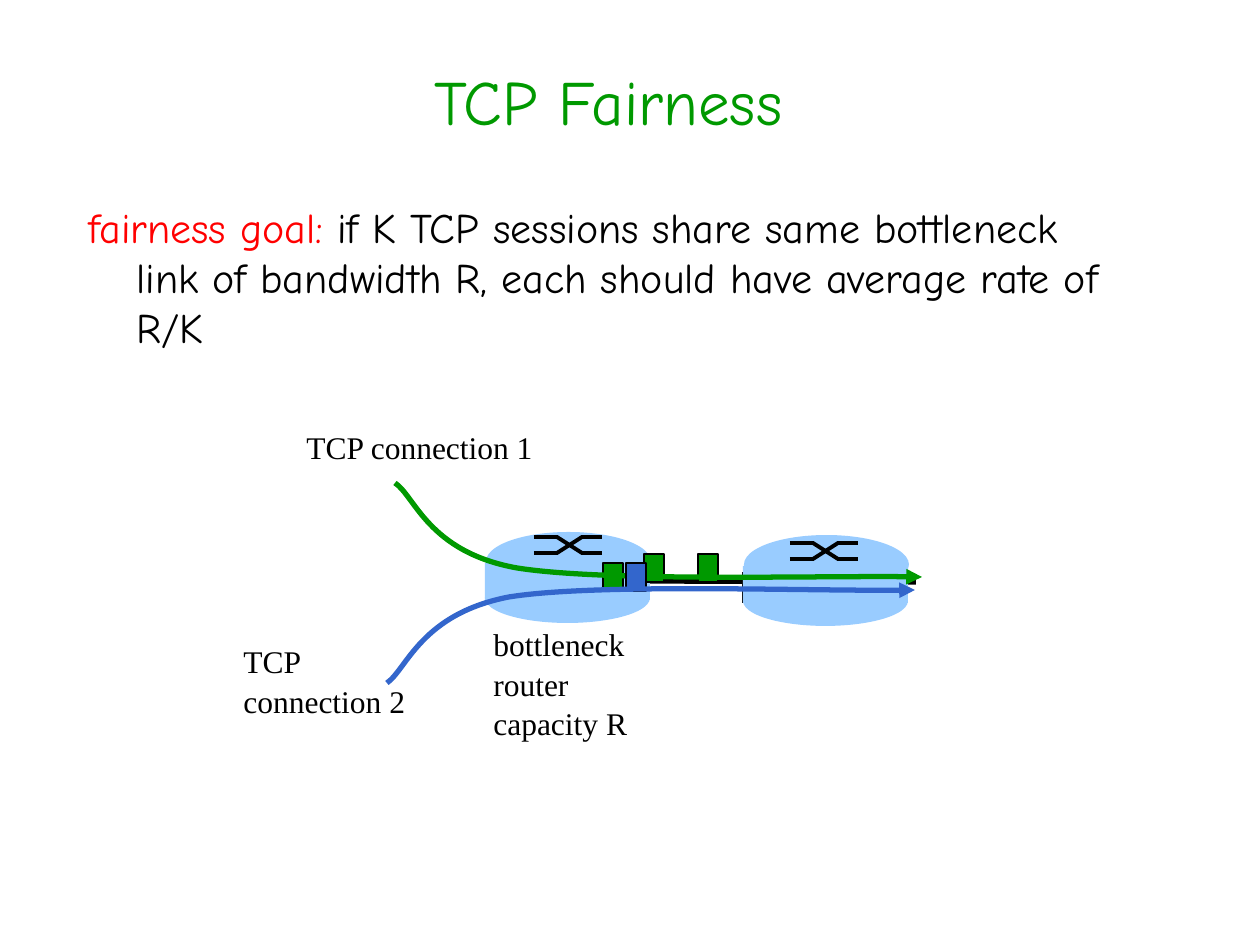
from lxml.etree import SubElement
from pptx import Presentation
from pptx.dml.color import RGBColor
from pptx.enum.shapes import MSO_CONNECTOR, MSO_SHAPE
from pptx.enum.text import MSO_ANCHOR, PP_ALIGN
from pptx.oxml.ns import qn
from pptx.util import Emu, Pt

EMU_PER_PX = 914400 / 126
BLACK, GREEN, BLUE, RED, SKY = "000000", "009900", "3366CC", "FF0000", "99CCFF"
HEADING_FONT, LABEL_FONT = "Comic Neue", "Times New Roman"


def px(n):
    return Emu(round(n * EMU_PER_PX))


def rgb(color):
    return RGBColor.from_string(color)


def add_text(slide, box, lines, font, size, color=BLACK):
    tf = slide.shapes.add_textbox(*map(px, box)).text_frame
    tf.word_wrap = True
    for i, line in enumerate(lines):
        p = tf.paragraphs[0] if i == 0 else tf.add_paragraph()
        p.text = line
        p.font.name = font
        p.font.size = Pt(size)
        p.font.color.rgb = rgb(color)
    return tf


def add_title(slide, text):
    tf = add_text(slide, (73, 21, 1071, 158), [text], HEADING_FONT, 36, GREEN)
    tf.vertical_anchor = MSO_ANCHOR.MIDDLE
    tf.paragraphs[0].alignment = PP_ALIGN.CENTER


def add_goal(slide, term, text):
    tf = add_text(slide, (76, 195, 1050, 302), [term], HEADING_FONT, 24)
    p = tf.paragraphs[0]
    p.runs[0].font.color.rgb = rgb(RED)
    r = p.add_run()
    r.text = text
    r.font.color.rgb = rgb(BLACK)
    for r in p.runs:
        r.font.name = HEADING_FONT
        r.font.size = Pt(24)
    pPr = p._p.get_or_add_pPr()
    pPr.set("marL", str(px(48)))
    pPr.set("indent", str(-px(48)))


def add_label(slide, box, *lines):
    for p in add_text(slide, box, lines, LABEL_FONT, 18).paragraphs:
        p.line_spacing = 1.05


def add_line(slide, x1, y1, x2, y2, width):
    line = slide.shapes.add_connector(
        MSO_CONNECTOR.STRAIGHT, px(x1), px(y1), px(x2), px(y2))
    line.line.color.rgb = rgb(BLACK)
    line.line.width = Pt(width)
    SubElement(line._element.spPr, qn("a:effectLst"))


def add_block(slide, kind, box, fill, outlined=False):
    sp = slide.shapes.add_shape(kind, *map(px, box))
    sp.shadow.inherit = False
    sp.fill.solid()
    sp.fill.fore_color.rgb = rgb(fill)
    if outlined:
        sp.line.color.rgb = rgb(BLACK)
        sp.line.width = Pt(0.75)
    else:
        sp.line.fill.background()


def add_router(slide, x, y):
    add_block(slide, MSO_SHAPE.OVAL, (x, y + 41, 165, 50), SKY)
    add_block(slide, MSO_SHAPE.RECTANGLE, (x, y + 31, 165, 37), SKY)
    add_block(slide, MSO_SHAPE.OVAL, (x + 1, y, 165, 59), SKY)


def add_switch_symbol(slide, x, y):
    for x1, y1, x2, y2 in ((0, 0, 24, 0), (47, 16, 68, 16), (23, 0, 48, 16),
                           (0, 16, 24, 16), (47, 0, 68, 0), (23, 16, 48, 0)):
        add_line(slide, x + x1, y + y1, x + x2, y + y2, 2.25)


def add_packet(slide, x, y, color):
    add_block(slide, MSO_SHAPE.RECTANGLE, (x, y, 20, 28), color, outlined=True)


def add_flow(slide, points, color):
    start, *rest = points
    builder = slide.shapes.build_freeform(*start, scale=EMU_PER_PX)
    builder.add_line_segments(rest, close=False)
    sp = builder.convert_to_shape()
    sp.shadow.inherit = False
    sp.fill.background()
    sp.line.color.rgb = rgb(color)
    sp.line.width = Pt(3)
    SubElement(sp.line._get_or_add_ln(), qn("a:tailEnd"), type="triangle")

    segments = list(sp._element.iter(qn("a:lnTo")))
    outline = segments[0].getparent()
    for i in range(0, len(segments), 3):
        curve = SubElement(outline, qn("a:cubicBezTo"))
        for segment in segments[i:i + 3]:
            curve.append(segment[0])
            outline.remove(segment)


def main():
    prs = Presentation()
    prs.slide_width, prs.slide_height = px(1260), px(945)
    slide = prs.slides.add_slide(prs.slide_layouts[6])

    add_goal(slide, "fairness goal:",
             " if K TCP sessions share same bottleneck link of bandwidth R, "
             "each should have average rate of R/K")

    add_line(slide, 649, 581, 916, 582, 3)
    add_router(slide, 485, 532)
    add_switch_symbol(slide, 534, 537)
    add_line(slide, 743, 572, 743, 603, 1)
    add_router(slide, 743, 535)
    add_switch_symbol(slide, 790, 543)

    for x, y in ((698, 554), (603, 563), (644, 554)):
        add_packet(slide, x, y, GREEN)

    add_label(slide, (294, 420, 271, 50), "TCP connection 1")
    add_label(slide, (481, 617, 183, 126), "bottleneck", "router", "capacity R")
    add_label(slide, (231, 634, 209, 88), "TCP", "connection 2")

    add_flow(slide, [(395, 483), (415, 496), (428, 552), (517, 568),
                     (605, 582), (838, 575), (922, 577)], GREEN)
    add_packet(slide, 626, 563, BLUE)
    add_flow(slide, [(387, 683), (407, 669), (421, 614), (509, 597),
                     (596, 583), (830, 592), (915, 590)], BLUE)

    add_title(slide, "TCP Fairness")
    prs.save("out.pptx")


if __name__ == "__main__":
    main()
